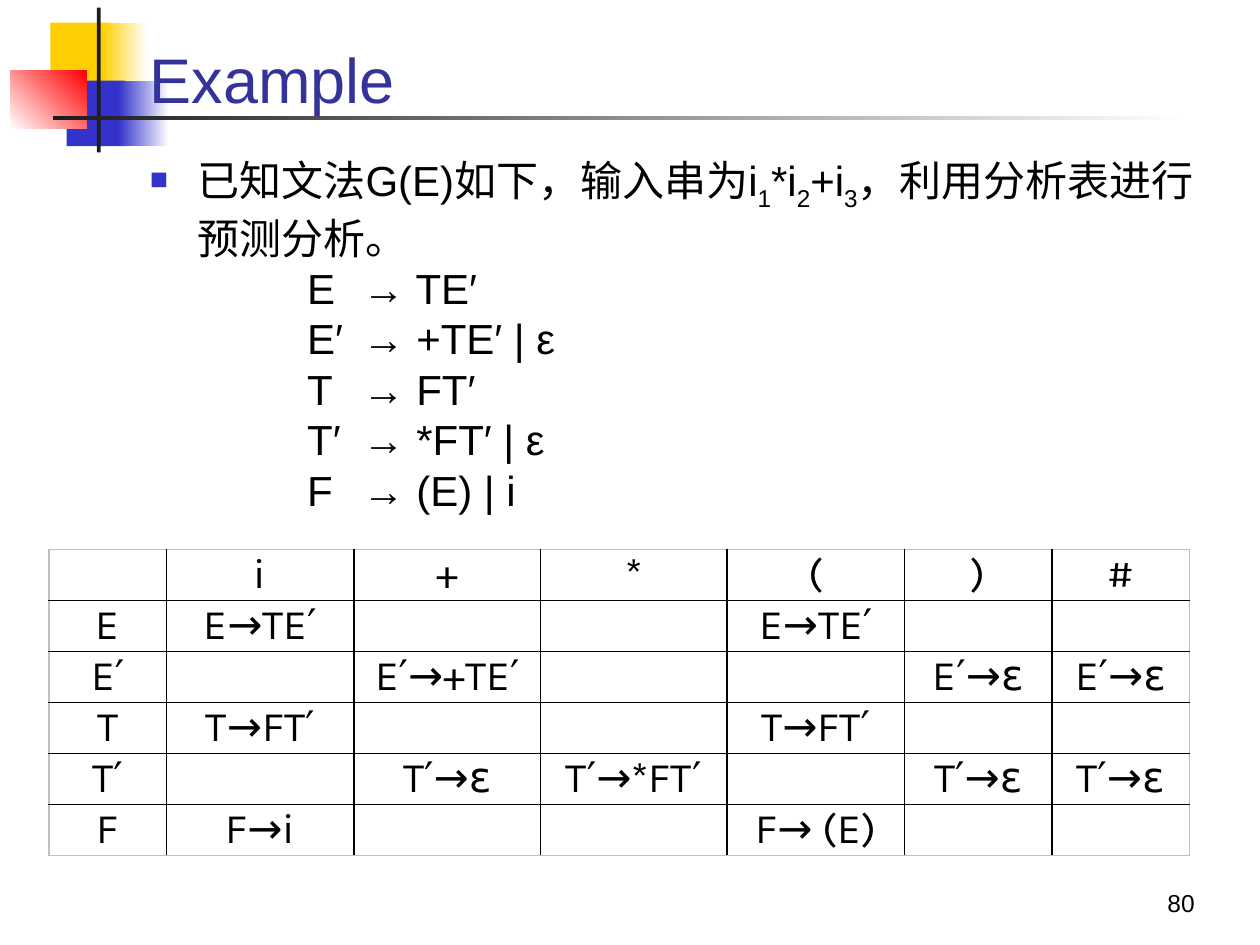
"""Build the slide with a grammar and its predictive parsing table."""
from lxml import etree
from pptx import Presentation
from pptx.dml.color import RGBColor
from pptx.enum.shapes import MSO_SHAPE
from pptx.enum.text import MSO_ANCHOR, PP_ALIGN
from pptx.oxml.ns import qn
from pptx.util import Inches, Pt

RECTANGLE = MSO_SHAPE.RECTANGLE
TOP, MIDDLE, BOTTOM = MSO_ANCHOR.TOP, MSO_ANCHOR.MIDDLE, MSO_ANCHOR.BOTTOM
CENTER, RIGHT = PP_ALIGN.CENTER, PP_ALIGN.RIGHT

WIDTH, HEIGHT = 10, 7.5
COLORS = {
    "yellow": "FFCF01", "blue": "3333CC", "red": "FF0000", "white": "FFFFFF",
    "ink": "1C1C1C", "title": "333399", "text": "000000", "frame": "BFBFBF",
}
DECORATION = [
    ((0.4, 0.18, 0.48, 0.52), ["yellow"], 0),
    ((0.81, 0.18, 0.36, 0.52), ["yellow", "white"], 0),
    ((0.53, 0.64, 0.46, 0.52), ["blue"], 0),
    ((0.94, 0.64, 0.4, 0.52), ["blue", "white"], 0),
    ((0.08, 0.56, 0.61, 0.46), ["white", "red"], 45),
    ((0.77, 0.06, 0.03, 1.15), ["ink"], 0),
    ((0.42, 0.92, 9, 0.03), ["ink", "white"], 0),
]
TITLE = "Example"
TASK = [("已知文法G(E)如下，输入串为i", False), ("1", True), ("*i", False), ("2", True),
        ("+i", False), ("3", True), ("，利用分析表进行预测分析。", False)]
GRAMMAR = [("E", "TE′"), ("E′", "+TE′ | ε"), ("T", "FT′"), ("T′", "*FT′ | ε"), ("F", "(E) | i")]
GRAMMAR_TABS = [1.25, 1.69]
PAGE_NUMBER = "80"
TERMINALS = ["i", "+", "*", "(", ")", "#"]
PARSING = {
    "E": {"i": "E→TE′", "(": "E→TE′"},
    "E′": {"+": "E′→+TE′", ")": "E′→ε", "#": "E′→ε"},
    "T": {"i": "T→FT′", "(": "T→FT′"},
    "T′": {"+": "T′→ε", "*": "T′→*FT′", ")": "T′→ε", "#": "T′→ε"},
    "F": {"i": "F→i", "(": "F→ (E)"},
}
TABLE_AT = (0.39, 4.36, 9.06, 2.43)
COLUMN_WIDTHS = [0.93, 1.49, 1.48, 1.48, 1.41, 1.17, 1.09]


def rgb(name):
    return RGBColor.from_string(COLORS[name])


def style(font, size, color="text", face="Arial"):
    font.size, font.name = Pt(size), face
    font.color.rgb = rgb(color)


def add_decoration(page, place, colors, angle):
    shape = page.shapes.add_shape(RECTANGLE, *map(Inches, place))
    shape.shadow.inherit = False
    shape.line.fill.background()
    if len(colors) == 1:
        shape.fill.solid()
        shape.fill.fore_color.rgb = rgb(colors[0])
        return
    shape.fill.gradient()
    shape.fill.gradient_angle = angle
    for position, (stop, color) in enumerate(zip(shape.fill.gradient_stops, colors)):
        stop.color.rgb = rgb(color)
        stop.position = position


def add_text(page, place, anchor):
    frame = page.shapes.add_textbox(*map(Inches, place)).text_frame
    frame.word_wrap = True
    frame.vertical_anchor = anchor
    return frame


def add_line(page, place, text, size, color):
    para = add_text(page, place, BOTTOM).paragraphs[0]
    para.text = text
    style(para.runs[0].font, size, color)
    return para


def add_bullet(para):
    props = para._p.get_or_add_pPr()
    props.set("marL", str(Inches(0.38)))
    props.set("indent", str(-Inches(0.38)))
    color = etree.SubElement(props, qn("a:buClr"))
    etree.SubElement(color, qn("a:srgbClr"), val=COLORS["blue"])
    etree.SubElement(props, qn("a:buSzPct"), val="60000")
    etree.SubElement(props, qn("a:buChar"), char="■")


def add_tabs(para, stops):
    tabs = etree.SubElement(para._p.get_or_add_pPr(), qn("a:tabLst"))
    for stop in stops:
        etree.SubElement(tabs, qn("a:tab"), pos=str(Inches(stop)), algn="l")


def add_body(page):
    frame = add_text(page, (1.09, 1.18, 8.5, 5.64), TOP)
    task = frame.paragraphs[0]
    task.space_before = Pt(12)
    add_bullet(task)
    for text, lowered in TASK:
        span = task.add_run()
        span.text = text
        style(span.font, 24)
        if lowered:
            span.font._element.set("baseline", "-25000")
    for symbol, production in GRAMMAR:
        para = frame.add_paragraph()
        para.text = f"\t{symbol}\t→ {production}"
        add_tabs(para, GRAMMAR_TABS)
        for span in para.runs:
            style(span.font, 24)


def add_border(cell, side, color):
    line = etree.SubElement(cell._tc.get_or_add_tcPr(), qn(f"a:ln{side}"), w=str(Pt(1)))
    fill = etree.SubElement(line, qn("a:solidFill"))
    etree.SubElement(fill, qn("a:srgbClr"), val=COLORS[color])


def add_parsing_table(page):
    rows = [["", *TERMINALS]]
    rows += [[symbol, *(cells.get(key, "") for key in TERMINALS)] for symbol, cells in PARSING.items()]
    last_row, last_column = len(rows) - 1, len(COLUMN_WIDTHS) - 1
    table = page.shapes.add_table(len(rows), len(COLUMN_WIDTHS), *map(Inches, TABLE_AT)).table
    table.first_row = table.horz_banding = False
    for column, width in zip(table.columns, COLUMN_WIDTHS):
        column.width = Inches(width)
    for r, row in enumerate(rows):
        for c, text in enumerate(row):
            cell = table.cell(r, c)
            outer = {"L": c == 0, "R": c == last_column, "T": r == 0, "B": r == last_row}
            for side, is_outer in outer.items():
                add_border(cell, side, "frame" if is_outer else "text")
            cell.fill.background()
            cell.margin_left = cell.margin_right = Inches(0.02)
            cell.margin_top = cell.margin_bottom = 0
            cell.vertical_anchor = MIDDLE
            para = cell.text_frame.paragraphs[0]
            para.text = text
            para.alignment = CENTER
            for span in para.runs:
                style(span.font, 24, face="Karla")


def main():
    deck = Presentation()
    deck.slide_width, deck.slide_height = Inches(WIDTH), Inches(HEIGHT)
    page = deck.slides.add_slide(deck.slide_layouts[6])
    for place, colors, angle in DECORATION:
        add_decoration(page, place, colors, angle)
    add_line(page, (1.09, 0.21, 8.52, 0.76), TITLE, 36, "title").line_spacing = 0.85
    add_body(page)
    add_line(page, (7.5, 6.83, 2.08, 0.5), PAGE_NUMBER, 14, "text").alignment = RIGHT
    add_parsing_table(page)
    deck.save("out.pptx")


if __name__ == "__main__":
    main()
